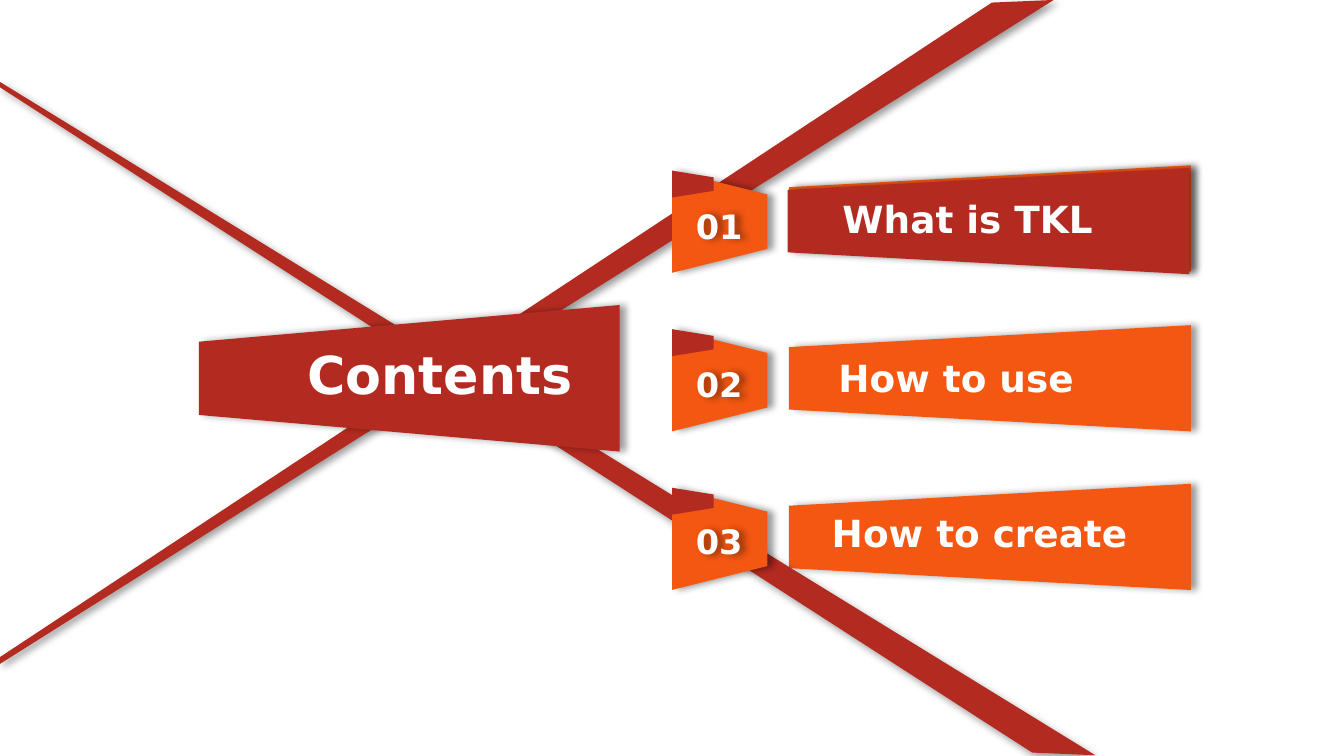
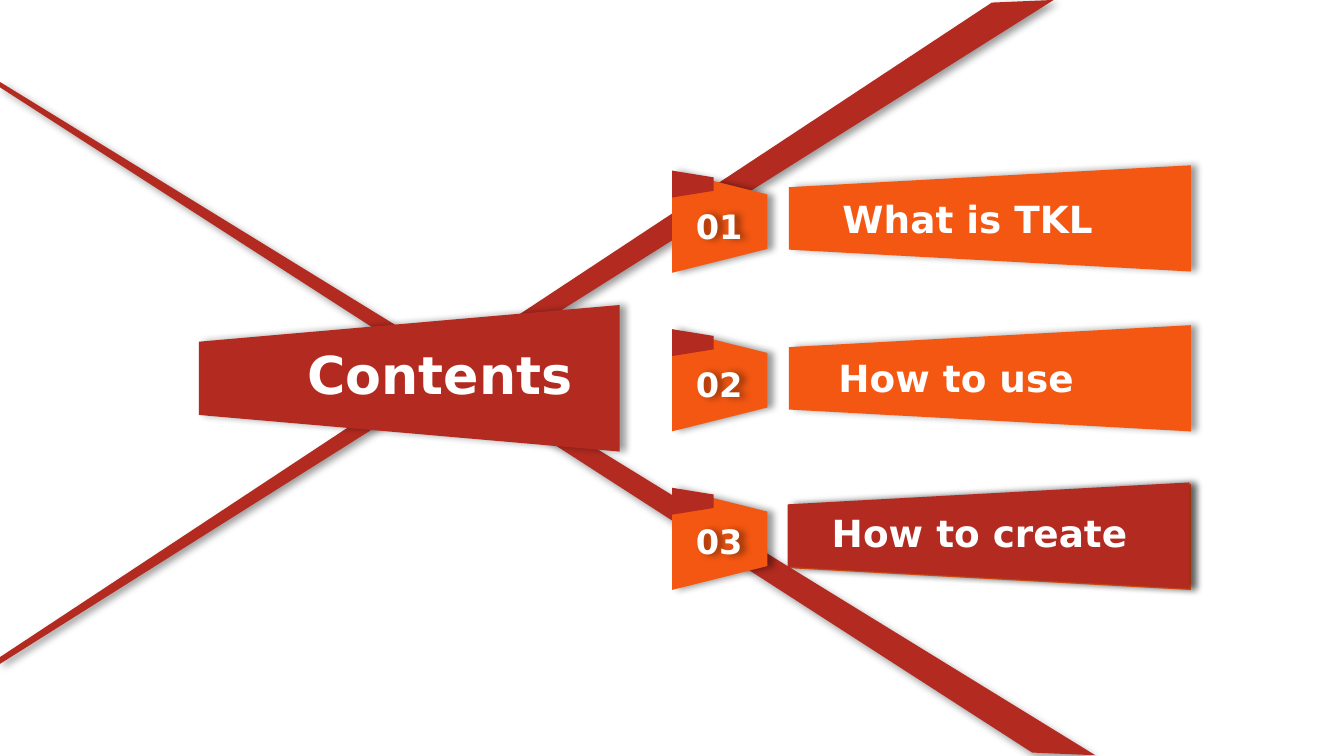
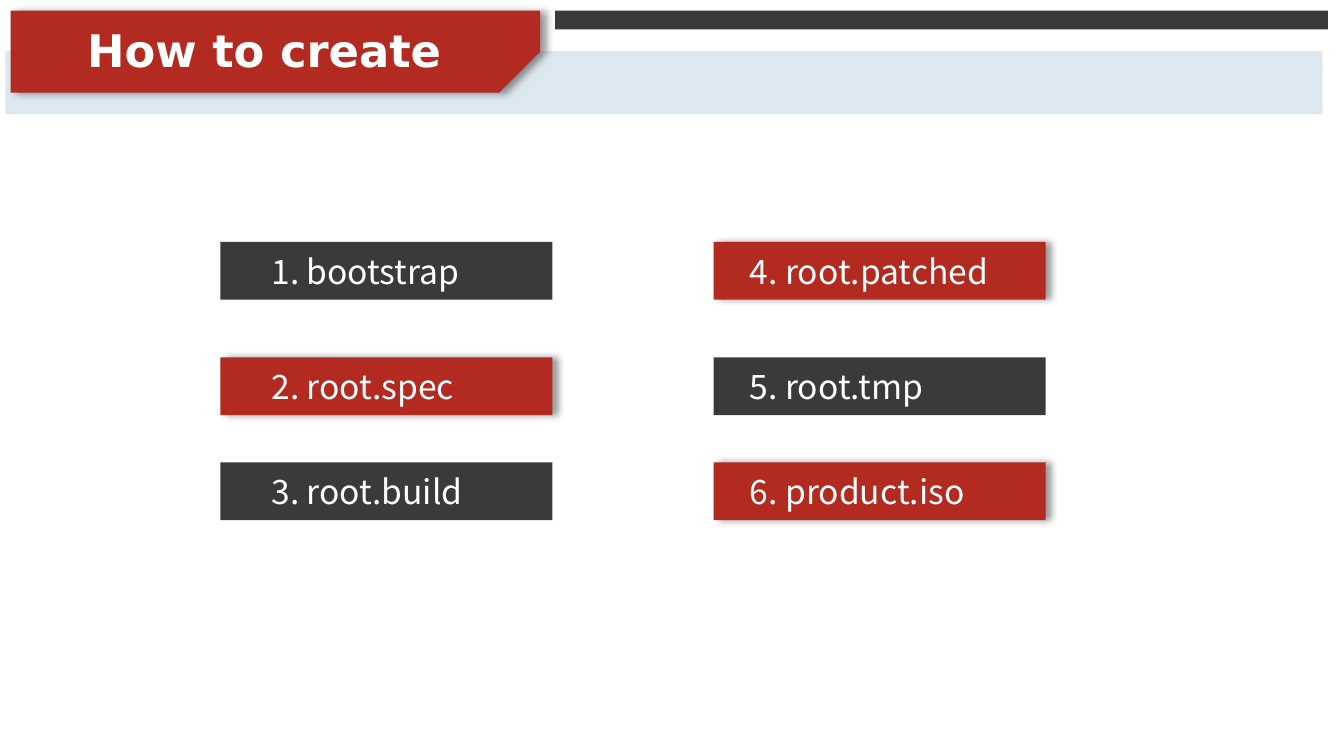
from dataclasses import dataclass

from lxml import etree
from pptx import Presentation
from pptx.dml.color import RGBColor
from pptx.enum.shapes import MSO_SHAPE
from pptx.enum.text import MSO_ANCHOR, MSO_AUTO_SIZE, PP_ALIGN
from pptx.oxml.ns import qn
from pptx.util import Pt

RECTANGLE = MSO_SHAPE.RECTANGLE
TRAPEZOID = MSO_SHAPE.TRAPEZOID
SNIPPED = MSO_SHAPE.SNIP_1_RECTANGLE
MIDDLE = MSO_ANCHOR.MIDDLE
LEFT = PP_ALIGN.LEFT
FIT_TEXT = MSO_AUTO_SIZE.SHAPE_TO_FIT_TEXT

PX = 9144  # EMU; 100 px to the inch
SLIDE_WIDTH = 1000


@dataclass(frozen=True)
class Theme:
    red: str = "B32A20"
    orange: str = "F45712"
    dark: str = "3A3A3A"
    pale: str = "DDE7EF"
    white: str = "FFFFFF"
    shadow: str = "000000"
    heading_font: str = "DejaVu Sans"
    body_font: str = "Noto Sans CJK SC"
    cover_size: int = 28
    title_size: int = 24
    topic_size: int = 20
    body_size: int = 18


def write(frame, text, *, font, size, color, bold=False):
    paragraph = frame.paragraphs[0]
    paragraph.alignment = LEFT
    run = paragraph.add_run()
    run.text = text
    run.font.name = font
    run.font.size = Pt(size)
    run.font.bold = bold
    run.font.color.rgb = RGBColor.from_string(color)


class Deck:
    def __init__(self, theme):
        self.theme = theme
        self.presentation = Presentation()
        self.presentation.slide_width = SLIDE_WIDTH * PX
        self.presentation.slide_height = SLIDE_WIDTH * PX * 9 // 16
        self.slide = None

    def new_slide(self):
        blank = self.presentation.slide_layouts[6]
        self.slide = self.presentation.slides.add_slide(blank)

    def cast_shadow(self, shape, angle=0):
        """Give the shape a soft shadow that falls at the angle in degrees."""
        shape.shadow.inherit = False
        effects = shape._element.spPr.find(qn("a:effectLst"))
        outer = etree.SubElement(
            effects, qn("a:outerShdw"), blurRad=str(Pt(4)), dist=str(Pt(3)),
            dir=str(angle * 60000), algn="l", rotWithShape="0")
        color = etree.SubElement(outer, qn("a:srgbClr"), val=self.theme.shadow)
        etree.SubElement(color, qn("a:alpha"), val="40000")

    def paint(self, shape, fill, shadow=False, angle=0):
        shape.fill.solid()
        shape.fill.fore_color.rgb = RGBColor.from_string(fill)
        shape.line.fill.background()
        shape.shadow.inherit = False
        if shadow:
            self.cast_shadow(shape, angle)

    def block(self, left, top, width, height, fill, *, preset=RECTANGLE, shadow=False):
        shape = self.slide.shapes.add_shape(
            preset, left * PX, top * PX, width * PX, height * PX)
        self.paint(shape, fill, shadow)
        return shape

    def taper(self, left, top, width, height, fill, *, rotation=270, slope=0.25, shadow=True):
        """Add a sideways trapezoid that covers the given box once turned."""
        shape = self.block(left, top, height, width, fill, preset=TRAPEZOID, shadow=shadow)
        shift = (width - height) * PX // 2
        shape.left += shift
        shape.top -= shift
        shape.rotation = rotation
        shape.adjustments[0] = slope

    def stripe(self, corners):
        builder = self.slide.shapes.build_freeform(*corners[0], scale=PX)
        builder.add_line_segments(corners[1:], close=True)
        self.paint(builder.convert_to_shape(), self.theme.red, shadow=True, angle=45)

    def heading(self, text, left, top, width, height, size, *, wrap=False, shadow=False):
        box = self.slide.shapes.add_textbox(left * PX, top * PX, width * PX, height * PX)
        box.text_frame.word_wrap = wrap
        box.text_frame.auto_size = FIT_TEXT
        write(box.text_frame, text, font=self.theme.heading_font, size=size,
              color=self.theme.white, bold=True)
        if shadow:
            self.cast_shadow(box)

    def tile(self, text, left, top, indent, highlighted):
        fill = self.theme.red if highlighted else self.theme.dark
        frame = self.block(left, top, 247, 43, fill, shadow=highlighted).text_frame
        frame.vertical_anchor = MIDDLE
        frame.margin_left = indent * PX
        write(frame, text, font=self.theme.body_font, size=self.theme.body_size,
              color=self.theme.white)

    def title_band(self, title):
        self.block(4, 38, 980, 47, self.theme.pale)
        self.block(413, 8, 575, 14, self.theme.dark)
        tab = self.block(8, 8, 394, 61, self.theme.red, preset=SNIPPED, shadow=True)
        tab.adjustments[0] = 0.5
        tab._element.spPr.xfrm.set("flipV", "1")
        self.heading(title, 55, 12, 390, 50, self.theme.title_size, wrap=True)


ROW_PITCH = 118
STRIPES = (
    ((0, 65), (768, 560), (815, 562), (0, 61)),
    ((0, 489), (738, 2), (784, 0), (0, 494)),
)
# topic, label left, label top, label width, number top, banner top
TOPICS = (
    ("What is TKL", 617, 141, 208, 148, 123),
    ("How to use", 614, 259, 197, 266, 242),
    ("How to create", 609, 375, 241, 383, 360),
)
STEPS = ("bootstrap", "root.spec", "root.build", "root.patched", "root.tmp", "product.iso")
HIGHLIGHTED_STEPS = (2, 4, 6)
STEP_COLUMNS = ((164, 38), (531, 27))  # left, indent
STEP_TOPS = (180, 266, 344)


def contents_slide(deck, current, highlight_top):
    theme = deck.theme

    def banner(left, top, fill):
        deck.taper(left, top, 299, 79, fill, slope=0.206)

    deck.new_slide()
    for *_, banner_top in TOPICS[1:]:
        banner(587, banner_top, theme.orange)
    for corners in STRIPES:
        deck.stripe(corners)
    deck.taper(148, 227, 313, 109, theme.red)
    banner(587, TOPICS[0][-1], theme.orange)
    deck.heading("Contents", 219, 250, 227, 57, theme.cover_size, wrap=True)

    for row, (topic, left, top, width, number_top, _) in enumerate(TOPICS):
        badge_top = 127 + row * ROW_PITCH
        deck.taper(500, badge_top, 71, 76, theme.orange, rotation=90)
        deck.taper(500, badge_top, 31, 20, theme.red, rotation=90, shadow=False)
        deck.heading(f"{row + 1:02}", 508, number_top, 56, 40, theme.body_size, shadow=True)
        if topic == current:
            banner(586, highlight_top, theme.red)
        deck.heading(topic, left, top, width, 44, theme.topic_size)


def steps_slide(deck):
    deck.new_slide()
    deck.title_band("How to create")
    for index, step in enumerate(STEPS):
        column, row = divmod(index, len(STEP_TOPS))
        left, indent = STEP_COLUMNS[column]
        number = index + 1
        deck.tile(f"{number}. {step}", left, STEP_TOPS[row], indent,
                  number in HIGHLIGHTED_STEPS)


def main():
    deck = Deck(Theme())
    contents_slide(deck, "What is TKL", 125)
    contents_slide(deck, "How to create", 359)
    steps_slide(deck)
    deck.presentation.save("out.pptx")


if __name__ == "__main__":
    main()
